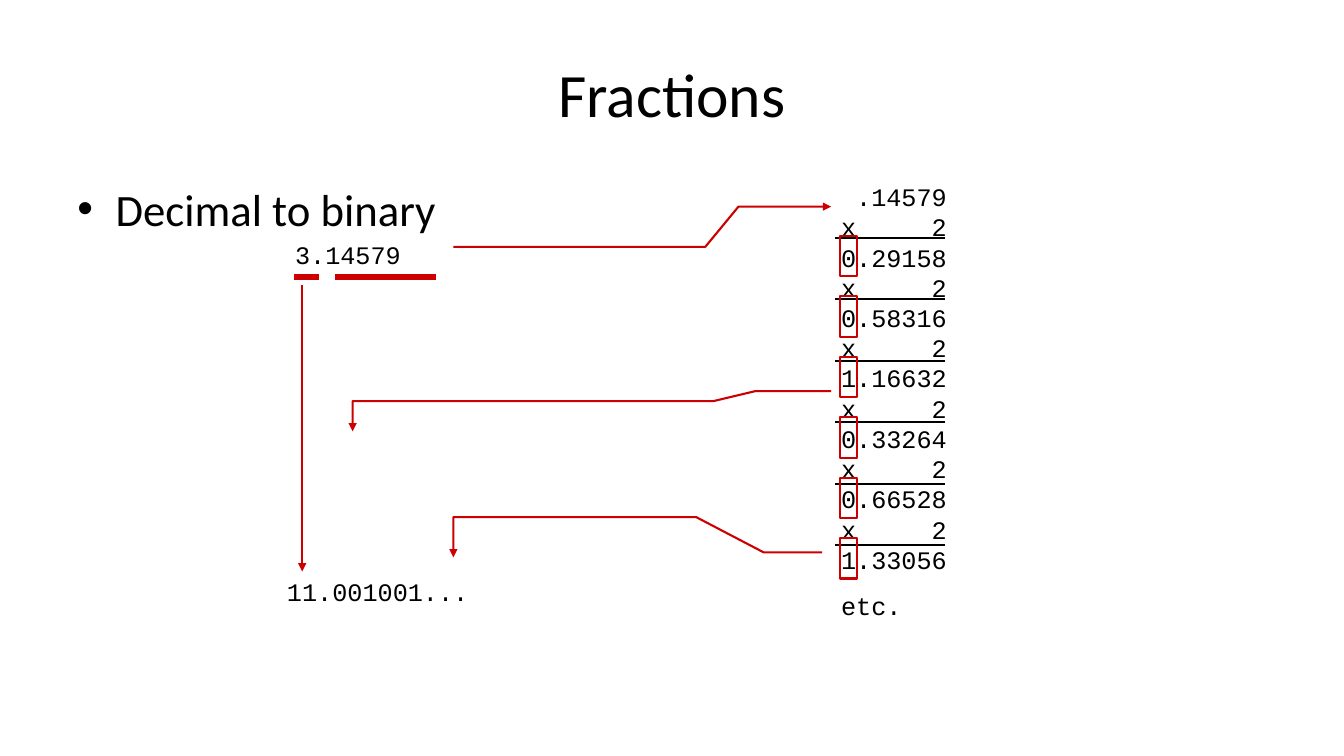
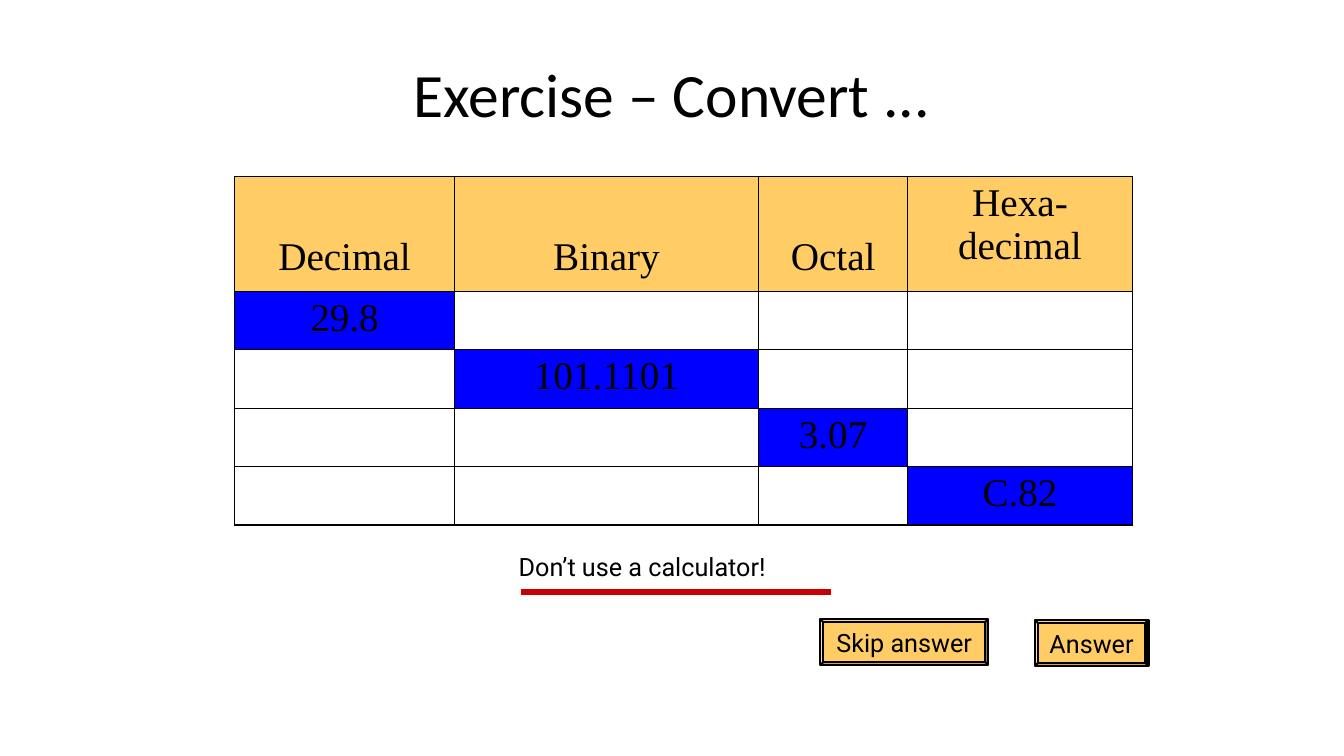
from lxml.etree import SubElement
from pptx import Presentation
from pptx.dml.color import RGBColor
from pptx.enum.shapes import MSO_CONNECTOR, MSO_SHAPE
from pptx.enum.text import MSO_ANCHOR, PP_ALIGN
from pptx.oxml.ns import qn
from pptx.util import Inches, Pt

BLACK, RED, GOLD, BLUE = "000000", "CC0000", "FFCC66", "0000FF"
TITLE_FONT, CODE_FONT, NOTE_FONT, TABLE_FONT = "Calibri", "Courier New", "Roboto", "Times New Roman"
PRODUCTS = ["0.29158", "0.58316", "1.16632", "0.33264", "0.66528", "1.33056"]
HEADINGS = ["Decimal", "Binary", "Octal", "Hexa-\ndecimal"]
GIVEN_NUMBERS = ["29.8", "101.1101", "3.07", "C.82"]


def color(value):
    """Turn a hex string into a colour."""
    return RGBColor.from_string(value)


def format_paragraph(paragraph, size, font_name, alignment=PP_ALIGN.LEFT):
    """Give a paragraph its alignment and its runs their font."""
    paragraph.alignment = alignment
    for run in paragraph.runs:
        run.font.size = Pt(size)
        run.font.name = font_name
        run.font.color.rgb = color(BLACK)


def add_text(slide, position, lines, size, font_name, alignment=PP_ALIGN.LEFT):
    """Add a wrapping text box with one paragraph per line."""
    shape = slide.shapes.add_textbox(*map(Inches, position))
    text_frame = shape.text_frame
    text_frame.word_wrap = True
    text_frame.text = "\n".join(lines)
    for paragraph in text_frame.paragraphs:
        format_paragraph(paragraph, size, font_name, alignment)
    return text_frame


def add_title(slide, text):
    """Add the centred slide title."""
    text_frame = add_text(slide, (0.67, 0.3, 12, 1.25), [text], 44, TITLE_FONT, PP_ALIGN.CENTER)
    text_frame.vertical_anchor = MSO_ANCHOR.MIDDLE


def add_bullet(paragraph):
    """Give a paragraph a hanging round bullet."""
    properties = paragraph._p.get_or_add_pPr()
    indent = Inches(0.38)
    properties.set("marL", str(indent))
    properties.set("indent", str(-indent))
    SubElement(properties, qn("a:buFont"), typeface="Arial")
    SubElement(properties, qn("a:buChar"), char="•")


def add_right_tab(paragraph, position):
    """Add a right-aligned tab stop to a paragraph."""
    tabs = SubElement(paragraph._p.get_or_add_pPr(), qn("a:tabLst"))
    SubElement(tabs, qn("a:tab"), pos=str(Inches(position)), algn="r")


def style_line(shape, line_color, width, arrow=False):
    """Set line colour and width, with an arrowhead at the end if wanted."""
    shape.line.color.rgb = color(line_color)
    shape.line.width = Pt(width)
    if arrow:
        SubElement(shape._element.spPr.find(qn("a:ln")), qn("a:tailEnd"), type="triangle")


def add_line(slide, start, end, line_color, width, arrow=False):
    """Add a straight line between two points."""
    connector = slide.shapes.add_connector(MSO_CONNECTOR.STRAIGHT, *map(Inches, start + end))
    style_line(connector, line_color, width, arrow)
    SubElement(connector._element.spPr, qn("a:effectLst"))


def add_bent_arrow(slide, points):
    """Add a red arrow through the given points."""
    start, *others = [(Inches(x), Inches(y)) for x, y in points]
    builder = slide.shapes.build_freeform(*start)
    builder.add_line_segments(others, close=False)
    shape = builder.convert_to_shape()
    shape.shadow.inherit = False
    shape.fill.background()
    style_line(shape, RED, 1.5, arrow=True)


def add_digit_frame(slide, top):
    """Add a red frame around a whole-number digit."""
    shape = slide.shapes.add_shape(MSO_SHAPE.RECTANGLE, *map(Inches, (8.34, top, 0.17, 0.4)))
    shape.shadow.inherit = False
    shape.fill.background()
    style_line(shape, RED, 1.5)


def add_button(slide, position, text):
    """Add a bevelled button with a centred label."""
    shape = slide.shapes.add_shape(MSO_SHAPE.BEVEL, *map(Inches, position))
    shape.adjustments[0] = 0.065
    shape.shadow.inherit = False
    shape.fill.solid()
    shape.fill.fore_color.rgb = color(GOLD)
    style_line(shape, BLACK, 1.5)
    text_frame = shape.text_frame
    text_frame.word_wrap = False
    text_frame.vertical_anchor = MSO_ANCHOR.MIDDLE
    text_frame.text = text
    format_paragraph(text_frame.paragraphs[0], 18, NOTE_FONT, PP_ALIGN.CENTER)


def add_borders(cell, outer_edges):
    """Draw the four cell borders, heavier on the outer edges."""
    properties = cell._tc.get_or_add_tcPr()
    for edge in ("lnL", "lnR", "lnT", "lnB"):
        width = Pt(1.08 if edge in outer_edges else 0.45)
        line = SubElement(properties, qn(f"a:{edge}"), w=str(width))
        fill = SubElement(line, qn("a:solidFill"))
        SubElement(fill, qn("a:srgbClr"), val=BLACK)


def fill_cell(cell, text, fill_color):
    """Set the text and the fill of a table cell."""
    if not text:
        cell.fill.background()
        return
    cell.fill.solid()
    cell.fill.fore_color.rgb = color(fill_color)
    paragraph = cell.text_frame.paragraphs[0]
    paragraph.text = text
    format_paragraph(paragraph, 28, TABLE_FONT, PP_ALIGN.CENTER)


def add_conversion_table(slide):
    """Add the exercise table with one given number in each row."""
    widths, heights = [2.18, 3.02, 1.48, 2.23], [1.14] + [0.58] * 4
    size = (2.33, 1.75, sum(widths), sum(heights))
    table = slide.shapes.add_table(len(heights), len(widths), *map(Inches, size)).table
    table.first_row = table.horz_banding = False
    for column, width in zip(table.columns, widths):
        column.width = Inches(width)
    last_row, last_column = len(heights) - 1, len(widths) - 1
    for row_index, height in enumerate(heights):
        table.rows[row_index].height = Inches(height)
        for column_index, heading in enumerate(HEADINGS):
            cell = table.cell(row_index, column_index)
            sides = {"lnL": column_index == 0, "lnR": column_index == last_column,
                     "lnT": row_index == 0, "lnB": row_index == last_row}
            add_borders(cell, [edge for edge, is_outer in sides.items() if is_outer])
            if row_index == 0:
                fill_cell(cell, heading, GOLD)
                if column_index < last_column:
                    cell.vertical_anchor = MSO_ANCHOR.BOTTOM
                    cell.margin_bottom = Inches(0.12)
            else:
                is_given = column_index == row_index - 1
                fill_cell(cell, GIVEN_NUMBERS[column_index] if is_given else "", BLUE)


def add_multiplication(slide):
    """Add the repeated doubling with its rules and framed digits."""
    lines = ["\t.14579"]
    for product in PRODUCTS:
        lines += ["x\t2", product]
    text_frame = add_text(slide, (8.25, 1.75, 1.63, 4.46), lines + ["etc."], 18, CODE_FONT)
    for paragraph in text_frame.paragraphs:
        add_right_tab(paragraph, 1.05)
    text_frame.paragraphs[-1].space_before = Pt(11.2)
    for index in range(len(PRODUCTS)):
        rule_top = 2.36 + 0.61 * index
        add_line(slide, (8.29, rule_top), (9.38, rule_top), BLACK, 1.5)
        add_digit_frame(slide, 2.34 + 0.6 * index)


def build_fractions(slide):
    """Build the slide on converting a decimal fraction to binary."""
    add_title(slide, "Fractions")
    body = add_text(slide, (0.67, 1.75, 12, 4.95), ["Decimal to binary"], 32, TITLE_FONT)
    add_bullet(body.paragraphs[0])
    add_text(slide, (2.83, 2.33, 1.62, 0.4), ["3.14579"], 18, CODE_FONT)
    add_text(slide, (2.75, 5.67, 2.92, 0.4), ["11.001001..."], 18, CODE_FONT)
    add_multiplication(slide)
    for left, right in ((2.92, 3.17), (3.33, 4.33)):
        add_line(slide, (left, 2.75), (right, 2.75), RED, 4.5)
    add_line(slide, (3, 2.83), (3, 5.67), RED, 1.5, arrow=True)
    add_bent_arrow(slide, [(4.5, 2.45), (7, 2.45), (7.33, 2.05), (8.25, 2.05)])
    add_bent_arrow(slide, [(8.25, 3.88), (7.5, 3.88), (7.08, 3.98), (3.5, 3.98), (3.5, 4.28)])
    add_bent_arrow(slide, [(8.16, 5.48), (7.58, 5.48), (6.91, 5.13), (4.5, 5.13), (4.5, 5.53)])


def build_exercise(slide):
    """Build the conversion exercise slide."""
    add_title(slide, "Exercise – Convert ...")
    add_text(slide, (5.05, 5.42, 2.79, 0.4), ["Don’t use a calculator!"], 18, NOTE_FONT)
    add_line(slide, (5.17, 5.87), (8.25, 5.87), RED, 4.5)
    add_conversion_table(slide)
    add_button(slide, (8.14, 6.14, 1.67, 0.46), "Skip answer")
    add_button(slide, (10.27, 6.15, 1.13, 0.46), "Answer")


def main():
    """Build and save the presentation."""
    presentation = Presentation()
    presentation.slide_width = Inches(13.34)
    presentation.slide_height = Inches(7.5)
    blank_layout = presentation.slide_layouts[6]
    for build in (build_fractions, build_exercise):
        build(presentation.slides.add_slide(blank_layout))
    presentation.save("out.pptx")


if __name__ == "__main__":
    main()
